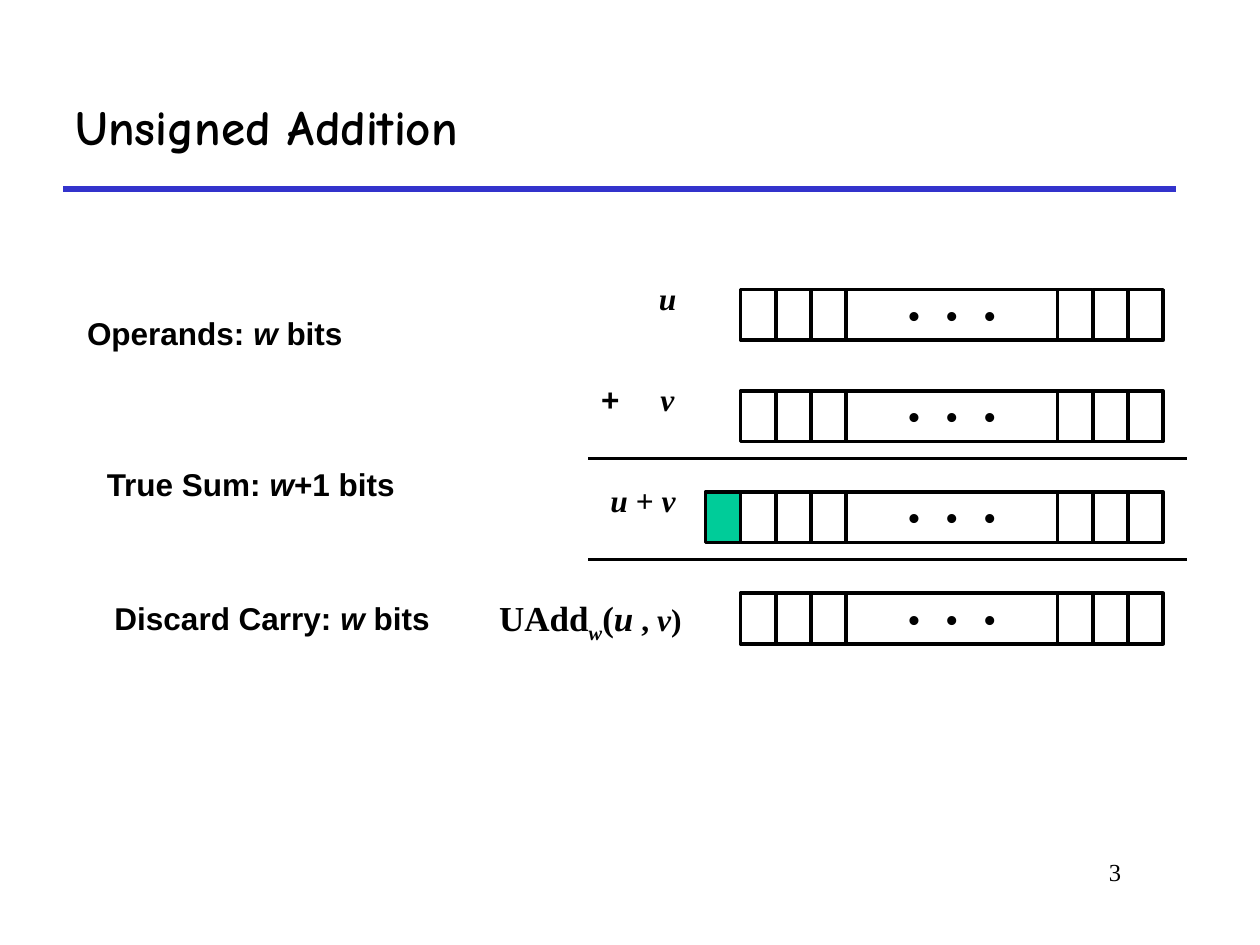
import pptx
import pptx.util
import pptx.dml.color
import pptx.enum.shapes
import pptx.enum.text
import pptx.oxml.ns
from lxml import etree

Cm = pptx.util.Cm
Pt = pptx.util.Pt
ALIGN = pptx.enum.text.PP_ALIGN
ANCHOR = pptx.enum.text.MSO_ANCHOR
RECT = pptx.enum.shapes.MSO_SHAPE.RECTANGLE
STRAIGHT = pptx.enum.shapes.MSO_CONNECTOR.STRAIGHT

BLACK = pptx.dml.color.RGBColor(0x00, 0x00, 0x00)
WHITE = pptx.dml.color.RGBColor(0xFF, 0xFF, 0xFF)
BLUE = pptx.dml.color.RGBColor(0x33, 0x33, 0xCC)
GREEN = pptx.dml.color.RGBColor(0x00, 0xCC, 0x99)

SERIF = "Times New Roman"
SANS = "Arial"
MONO = "Courier New"

CELL = 0.71
HIGH = 1.02
PITCH = 2.04
ENDS = 3
GAP = 6 * CELL

ITALIC = {"italic": True}


def write(shape, *runs, font=SERIF, size=18, bold=True, align=ALIGN.CENTER,
          anchor=ANCHOR.TOP, wrap=False):
    """Fill a shape with runs, each a string or a (string, format) pair."""
    frame = shape.text_frame
    frame.word_wrap = wrap
    frame.vertical_anchor = anchor
    para = frame.paragraphs[0]
    para.alignment = align
    for item in runs:
        text, form = (item, {}) if isinstance(item, str) else item
        run = para.add_run()
        run.text = text
        run.font.name = font
        run.font.size = Pt(form.get("size", size))
        run.font.bold = bold
        run.font.italic = form.get("italic", False)
        run.font.color.rgb = BLACK
        if "base" in form:
            run._r.get_or_add_rPr().set("baseline", str(form["base"] * 1000))


def label(slide, left, top, width, height, *runs, **form):
    box = slide.shapes.add_textbox(Cm(left), Cm(top), Cm(width), Cm(height))
    write(box, *runs, **form)


def rule(slide, left, top, width, color=BLACK, weight=2):
    line = slide.shapes.add_connector(
        STRAIGHT, Cm(left), Cm(top), Cm(left + width), Cm(top))
    line.line.color.rgb = color
    line.line.width = Pt(weight)
    props = line._element.spPr
    etree.SubElement(props, pptx.oxml.ns.qn("a:effectLst"))


def cell(slide, left, top, width=CELL, fill=WHITE):
    box = slide.shapes.add_shape(RECT, Cm(left), Cm(top), Cm(width), Cm(HIGH))
    box.shadow.inherit = False
    box.fill.solid()
    box.fill.fore_color.rgb = fill
    box.line.color.rgb = BLACK
    box.line.width = Pt(2)
    return box


def word(slide, left, top, carry=False):
    """Draw a row of bits with the middle ones elided."""
    right = left + ENDS * CELL + GAP
    for start in (left, right):
        for i in range(ENDS):
            cell(slide, start + i * CELL, top)
    write(cell(slide, left + ENDS * CELL, top, GAP), "• • •",
          font=MONO, anchor=ANCHOR.MIDDLE)
    if carry:
        cell(slide, left - CELL, top, fill=GREEN)


def header(slide, left, top, width, height):
    title = slide.shapes.title
    title.left, title.top = Cm(left), Cm(top)
    title.width, title.height = Cm(width), Cm(height)
    write(title, "Unsigned Addition", font="Comic Neue", size=28,
          align=ALIGN.LEFT, anchor=ANCHOR.MIDDLE, wrap=True)
    rule(slide, left, top + height, width, BLUE, 3)


def sums(slide, left, top):
    """Draw the operands, their true sum and the cut sum."""
    rows = [top + i * PITCH for i in range(4)]
    for i, row in enumerate(rows):
        word(slide, left + 5.13, row + 0.34, carry=i == 2)
    for row in rows[2:]:
        rule(slide, left + 2.06, row - 0.34, 12.07)
    label(slide, left + 3.23, rows[0], 0.86, HIGH, ("u", ITALIC))
    label(slide, left + 3.26, rows[1], 0.79, HIGH, ("v", ITALIC))
    label(slide, left + 2.06, rows[1], 0.89, HIGH, "+", font=MONO)
    label(slide, left + 2.24, rows[2], 1.83, HIGH,
          ("u ", ITALIC), "+ ", ("v", ITALIC), align=ALIGN.RIGHT)
    label(slide, left, rows[3] + 0.28, 4.19, 1.22,
          ("UAdd", {"size": 20}),
          ("w", {"size": 20, "italic": True, "base": -25}),
          ("(", {"size": 20}),
          ("u", {"size": 20, "italic": True}),
          " , ", ("v", ITALIC), ")", align=ALIGN.RIGHT)


def steps(slide, left, top):
    """Name each step of the addition."""
    parts = [
        (0, 0, 5.66, "Operands: ", " bits", False),
        (0.2, 3.05, 6.71, "True Sum: ", "+1 bits", True),
        (0.2, 5.76, 7.57, "Discard Carry: ", " bits", True),
    ]
    for x, y, width, name, size, wrap in parts:
        label(slide, left + x, top + y, width, HIGH,
              name, ("w", ITALIC), size, font=SANS, wrap=wrap)


def main():
    deck = pptx.Presentation()
    deck.slide_width, deck.slide_height = Cm(25.4), Cm(19.05)
    slide = deck.slides.add_slide(deck.slide_layouts[5])
    header(slide, 1.27, 1.27, 22.43, 2.54)
    sums(slide, 9.8, 5.5)
    steps(slide, 1.5, 6.2)
    label(slide, 19.25, 17.15, 3.6, 1.27, "3", size=14, bold=False,
          align=ALIGN.RIGHT, wrap=True)
    deck.save("out.pptx")


if __name__ == "__main__":
    main()
